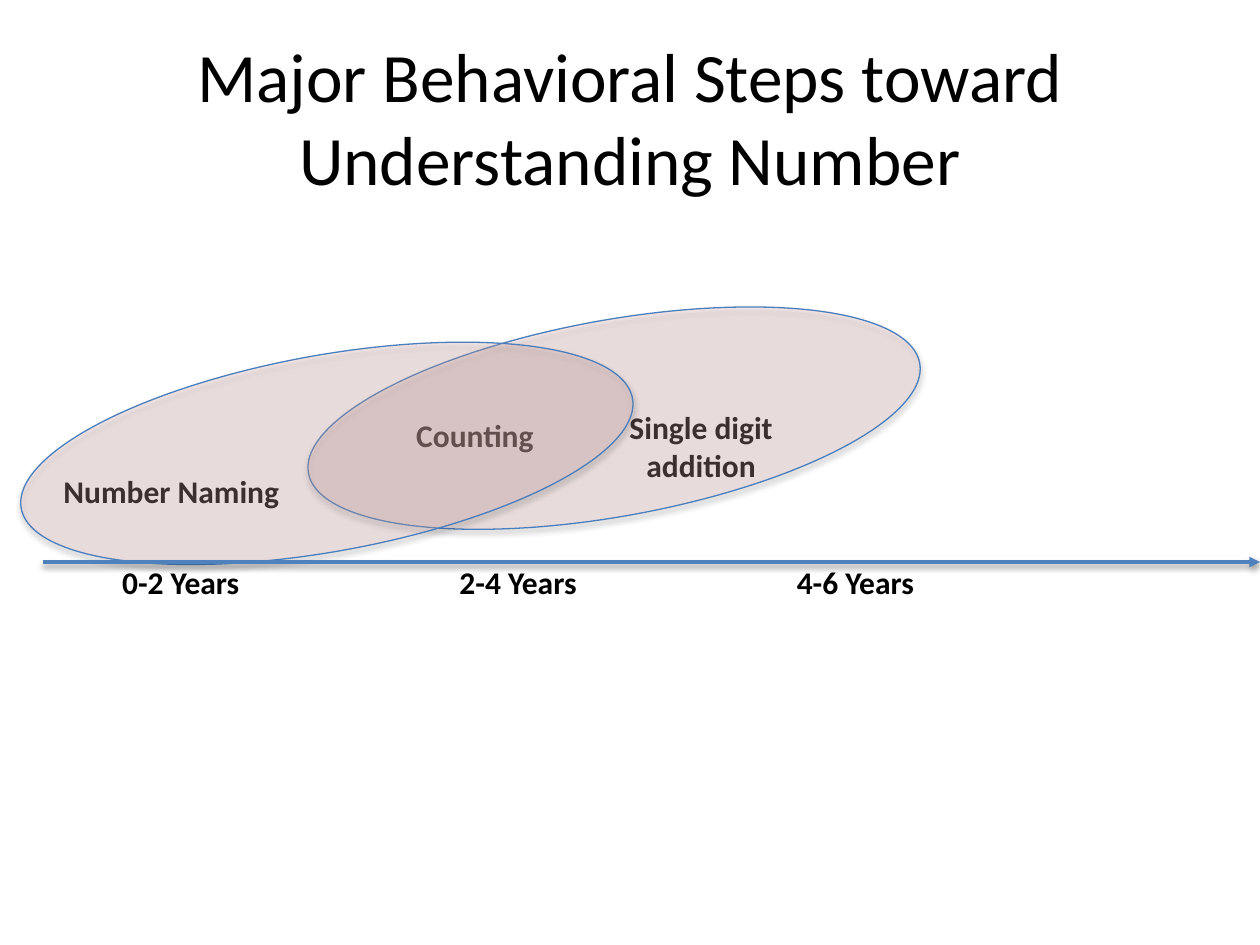
from pptx import Presentation
from pptx.dml.color import RGBColor
from pptx.enum import shapes, text
from pptx.oxml import ns, parse_xml
from pptx.util import Cm, Pt

BLACK = RGBColor(0x00, 0x00, 0x00)
PINK = RGBColor(0xE6, 0xB9, 0xB8)
OUTLINE_BLUE = RGBColor(0x4B, 0x7E, 0xBC)
AXIS_BLUE = RGBColor(0x4F, 0x81, 0xBD)
FONT = "Calibri"


def format_text(text_frame, size, bold):
    for paragraph in text_frame.paragraphs:
        paragraph.alignment = text.PP_ALIGN.CENTER
        for run in paragraph.runs:
            run.font.name = FONT
            run.font.size = Pt(size)
            run.font.bold = bold
            run.font.color.rgb = BLACK


def add_shadow(shape, opacity, distance):
    shape._element.spPr.append(parse_xml(
        f'<a:effectLst {ns.nsdecls("a")}>'
        f'<a:outerShdw blurRad="{Pt(3.1)}" dist="{Pt(distance)}" dir="5400000" rotWithShape="0">'
        f'<a:srgbClr val="{BLACK}"><a:alpha val="{opacity * 1000}"/></a:srgbClr>'
        '</a:outerShdw></a:effectLst>'))


def set_title(slide, title):
    shape = slide.shapes.title
    shape.left, shape.top, shape.width, shape.height = Cm(1.27), Cm(0.76), Cm(22.86), Cm(3.18)
    text_frame = shape.text_frame
    text_frame.text = title
    text_frame.auto_size = text.MSO_AUTO_SIZE.NONE
    text_frame.vertical_anchor = text.MSO_ANCHOR.MIDDLE
    format_text(text_frame, 39.6, False)


def add_label(slide, label, left, top, width, height=1.02):
    box = slide.shapes.add_textbox(Cm(left), Cm(top), Cm(width), Cm(height))
    text_frame = box.text_frame
    text_frame.text = label
    text_frame.word_wrap = False
    text_frame.auto_size = text.MSO_AUTO_SIZE.SHAPE_TO_FIT_TEXT
    format_text(text_frame, 18, True)


def add_stage_ellipse(slide, left, top):
    ellipse = slide.shapes.add_shape(
        shapes.MSO_SHAPE.OVAL, Cm(left), Cm(top), Cm(12.52), Cm(3.96))
    ellipse.rotation = 349.8
    ellipse.fill.solid()
    ellipse.fill.fore_color.rgb = PINK
    color = ellipse._element.spPr.find(ns.qn("a:solidFill"))[0]
    color.append(parse_xml(f'<a:alpha {ns.nsdecls("a")} val="26000"/>'))
    ellipse.line.color.rgb = OUTLINE_BLUE
    ellipse.line.width = Pt(0.75)
    add_shadow(ellipse, 35, 1.8)


def add_age_axis(slide, left, right, top):
    axis = slide.shapes.add_connector(
        shapes.MSO_CONNECTOR.STRAIGHT, Cm(left), Cm(top), Cm(right), Cm(top))
    axis.line.color.rgb = AXIS_BLUE
    axis.line.width = Pt(2)
    line = axis._element.spPr.find(ns.qn("a:ln"))
    line.append(parse_xml(f'<a:tailEnd {ns.nsdecls("a")} type="triangle"/>'))
    add_shadow(axis, 38, 1.6)


def main():
    presentation = Presentation()
    presentation.slide_width = Cm(25.4)
    presentation.slide_height = Cm(19.05)
    slide = presentation.slides.add_slide(presentation.slide_layouts[5])

    set_title(slide, "Major Behavioral Steps toward Understanding Number")
    for index, ages in enumerate(("0-2 Years", "2-4 Years", "4-6 Years")):
        add_label(slide, ages, 2.16 + 6.8 * index, 11.23, 2.97)
    add_label(slide, "Number Naming", 0.99, 9.4, 4.93)
    add_label(slide, "Counting", 8.1, 8.26, 2.95)
    add_label(slide, "Single digit\vaddition", 12.42, 8.1, 3.43, 1.8)
    for left, top in ((6.12, 6.45), (0.33, 7.16)):
        add_stage_ellipse(slide, left, top)
    add_age_axis(slide, 0.86, 25.4, 11.33)

    presentation.save("out.pptx")


if __name__ == "__main__":
    main()
